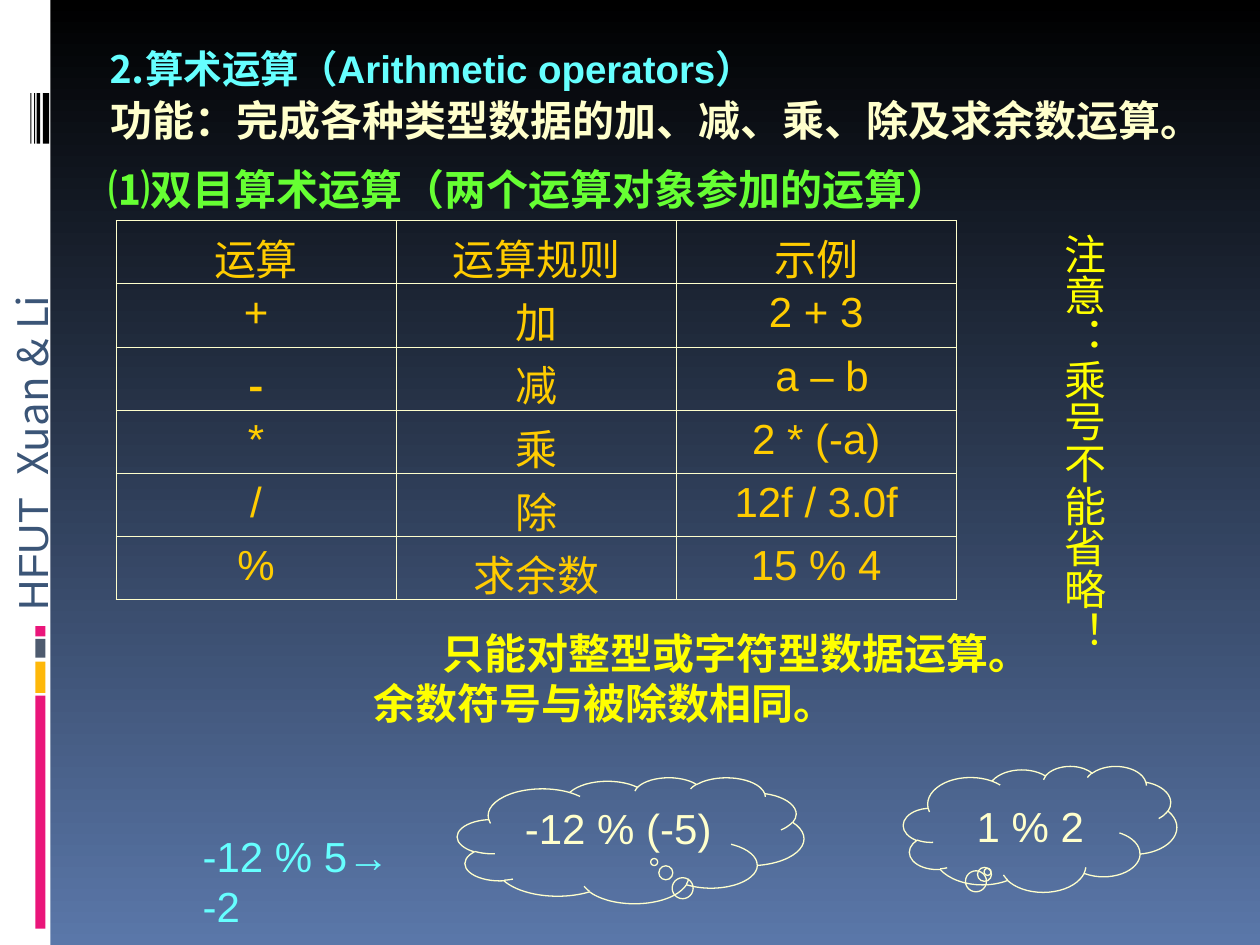
from lxml import etree
from pptx import Presentation
from pptx.dml.color import RGBColor
from pptx.enum import shapes as kinds, text as styles
from pptx.oxml import parse_xml
from pptx.oxml.ns import nsdecls, qn
from pptx.util import Inches, Pt

BLACK = RGBColor(0x00, 0x00, 0x00)
WHITE = RGBColor(0xFF, 0xFF, 0xFF)
SKY = RGBColor(0x5A, 0x77, 0xA9)
NAVY = RGBColor(0x3B, 0x55, 0x77)
SLATE = RGBColor(0x4E, 0x5B, 0x6F)
PINK = RGBColor(0xEA, 0x15, 0x7A)
AMBER = RGBColor(0xFE, 0xB8, 0x0A)
CYAN = RGBColor(0x66, 0xFF, 0xFF)
CREAM = RGBColor(0xFF, 0xFF, 0xCC)
GREEN = RGBColor(0x66, 0xFF, 0x33)
GOLD = RGBColor(0xFF, 0xCC, 0x00)
YELLOW = RGBColor(0xFF, 0xFF, 0x00)

# Content
TITLE = "⒉算术运算（Arithmetic operators）"
SIDE_LABEL = [("HFUT  ", "Arial"), ("Xuan & Li", "Noto Sans CJK SC")]
# text, box, font, colour, bold, wrap
NOTES = [
    ("功能：完成各种类型数据的加、减、乘、除及求余数运算。",
     (0.78, 0.7, 8.86, 0.5), "Times New Roman", CREAM, True, False),
    ("⑴双目算术运算（两个运算对象参加的运算）",
     (0.76, 1.25, 6.87, 0.5), "Times New Roman", GREEN, True, False),
    ("-12 % 5→ -2", (1.51, 6.54, 2.01, 0.5), "Arial", CYAN, False, True),
]
REMAINDER_RULE = "只能对整型或字符型数据运算。余数符号与被除数相同。"
WARNING = "注意：乘号不能省略！"
OPERATORS = [
    ("运算", "运算规则", "示例"),
    ("+", "加", "2 + 3"),
    ("-", "减", " a – b"),
    ("*", "乘", "2 * (-a)"),
    ("/", "除", "12f / 3.0f"),
    ("%", "求余数", "15 % 4"),
]
# text, box, tail position, anchor
CLOUDS = [
    ("-12 % (-5)", (3.63, 6.17, 2.75, 1), (0.068, 0.172), styles.MSO_ANCHOR.TOP),
    ("1 % 2", (7.17, 6.08, 2.17, 1), (-0.192, 0.34), styles.MSO_ANCHOR.MIDDLE),
]
# left, top, width, height, colour
SIDE_BARS = [(0, 0, 0.4, 7.5, WHITE)]
SIDE_BARS += [(0.28, top, 0.08, height, colour) for top, height, colour in (
    (5.52, 1.85, PINK), (5.25, 0.25, AMBER), (5.07, 0.15, SLATE), (4.97, 0.08, PINK))]
SIDE_BARS += [(left, 0.74, width, 0.4, BLACK) for left, width in (
    (0.34, 0.05), (0.29, 0.03), (0.27, 0.01), (0.24, 0.01))]


def inches(box):
    return [Inches(length) for length in box]


def add_run(paragraph, words, colour, font="Arial", size=24, bold=False):
    run = paragraph.add_run()
    run.text = words
    run.font.name = font
    run.font.size = Pt(size)
    run.font.bold = bold
    run.font.color.rgb = colour


def add_box(slide, box, wrap=True):
    frame = slide.shapes.add_textbox(*inches(box)).text_frame
    frame.word_wrap = wrap
    return frame


def add_cell_borders(cell):
    properties = cell._tc.get_or_add_tcPr()
    for position, side in enumerate(("lnL", "lnR", "lnT", "lnB")):
        properties.insert(position, parse_xml(
            f'<a:{side} {nsdecls("a")} w="{Pt(0.45)}"><a:solidFill>'
            f'<a:srgbClr val="{CREAM}"/></a:solidFill></a:{side}>'))


def add_operator_table(slide):
    rows, columns = len(OPERATORS), len(OPERATORS[0])
    table = slide.shapes.add_table(
        rows, columns, *inches((0.92, 1.75, 6.67, 3.01))).table
    table.first_row = table.horz_banding = False
    for r, row in enumerate(OPERATORS):
        for c, words in enumerate(row):
            cell = table.cell(r, c)
            cell.fill.background()
            add_cell_borders(cell)
            paragraph = cell.text_frame.paragraphs[0]
            paragraph.alignment = styles.PP_ALIGN.CENTER
            minus = words == "-"
            add_run(paragraph, words, GOLD, bold=minus,
                    font="Noto Sans CJK KR" if minus else "Arial")


def main():
    deck = Presentation()
    deck.slide_width, deck.slide_height = Inches(10), Inches(7.5)
    slide = deck.slides.add_slide(deck.slide_layouts[5])

    # Background
    backdrop = slide.background.fill
    backdrop.gradient()
    backdrop.gradient_angle = 270
    for stop, colour in zip(backdrop.gradient_stops, (BLACK, SKY)):
        stop.color.rgb = colour

    # Side strip
    for *box, colour in SIDE_BARS:
        bar = slide.shapes.add_shape(kinds.MSO_SHAPE.RECTANGLE, *inches(box))
        bar.shadow.inherit = False
        bar.fill.solid()
        bar.fill.fore_color.rgb = colour
        bar.line.fill.background()
    label = slide.shapes.add_textbox(*inches((-1.12, 3.32, 2.74, 0.5)))
    label.rotation = 270
    label.text_frame.word_wrap = False
    for words, font in SIDE_LABEL:
        add_run(label.text_frame.paragraphs[0], words, NAVY, font)

    # Title
    title = slide.shapes.title
    title.left, title.top, title.width, title.height = inches((0.75, 0.31, 8.5, 0.42))
    heading = title.text_frame
    heading.auto_size = styles.MSO_AUTO_SIZE.NONE
    heading.vertical_anchor = styles.MSO_ANCHOR.TOP
    heading.paragraphs[0].alignment = styles.PP_ALIGN.LEFT
    add_run(heading.paragraphs[0], TITLE, CYAN, size=22, bold=True)

    # Notes and table
    for words, box, font, colour, bold, wrap in NOTES:
        frame = add_box(slide, box, wrap)
        add_run(frame.paragraphs[0], words, colour, font, bold=bold)
    add_operator_table(slide)

    # Rule for the remainder, with an indented first line
    rule = add_box(slide, (2.87, 4.93, 5.34, 0.99)).paragraphs[0]
    rule._p.get_or_add_pPr().set("indent", str(Inches(0.54)))
    add_run(rule, REMAINDER_RULE, YELLOW, bold=True)

    # Vertical warning
    warning = add_box(slide, (8.25, 1.75, 0.6, 3.44), wrap=False)
    warning.margin_left = warning.margin_right = Inches(0.05)
    warning.margin_top = warning.margin_bottom = Inches(0.1)
    warning._txBody.find(qn("a:bodyPr")).set("vert", "eaVert")
    add_run(warning.paragraphs[0], WARNING, YELLOW)

    # Clouds
    for words, box, tail, anchor in CLOUDS:
        cloud = slide.shapes.add_shape(kinds.MSO_SHAPE.CLOUD_CALLOUT, *inches(box))
        cloud.shadow.inherit = False
        cloud.fill.background()
        cloud.line.color.rgb = CREAM
        cloud.line.width = Pt(0.75)
        for position, value in enumerate(tail):
            cloud.adjustments[position] = value
        cloud.text_frame.vertical_anchor = anchor
        paragraph = cloud.text_frame.paragraphs[0]
        paragraph.alignment = styles.PP_ALIGN.CENTER
        add_run(paragraph, words, CREAM)

    deck.save("out.pptx")


if __name__ == "__main__":
    main()
